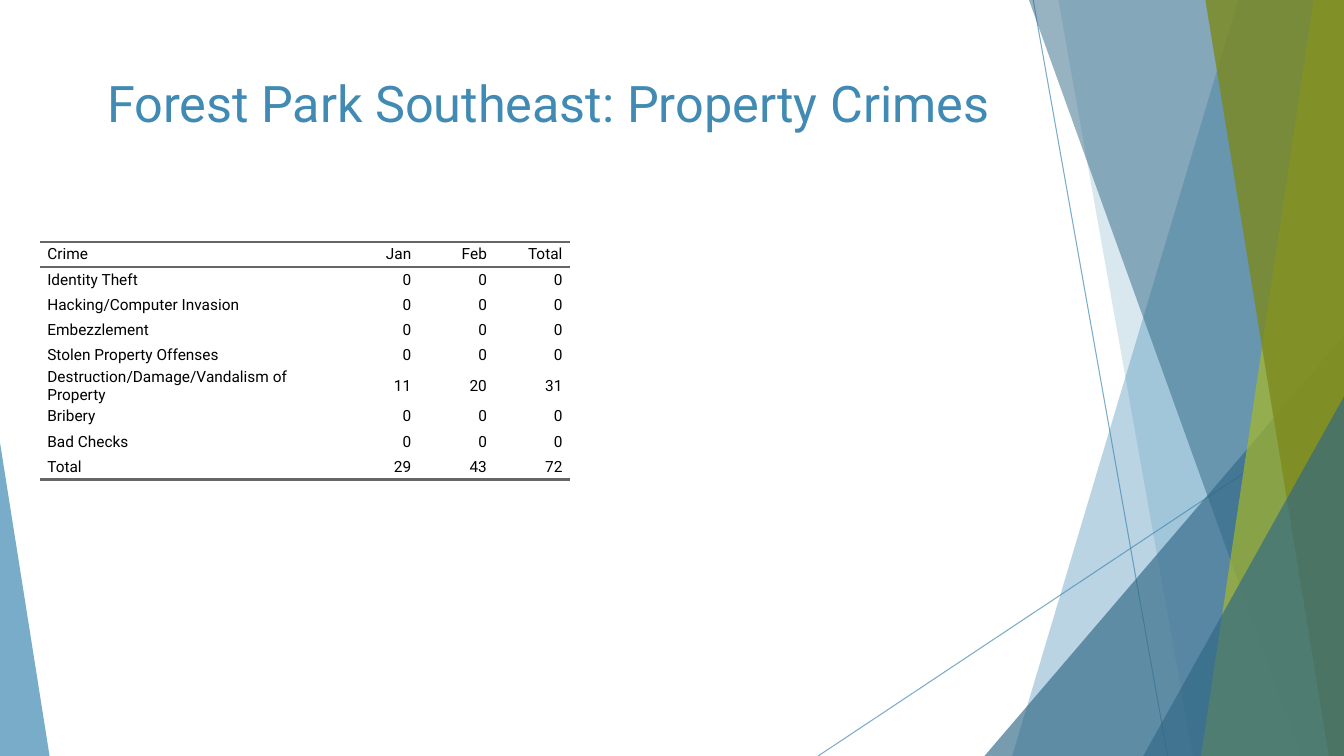
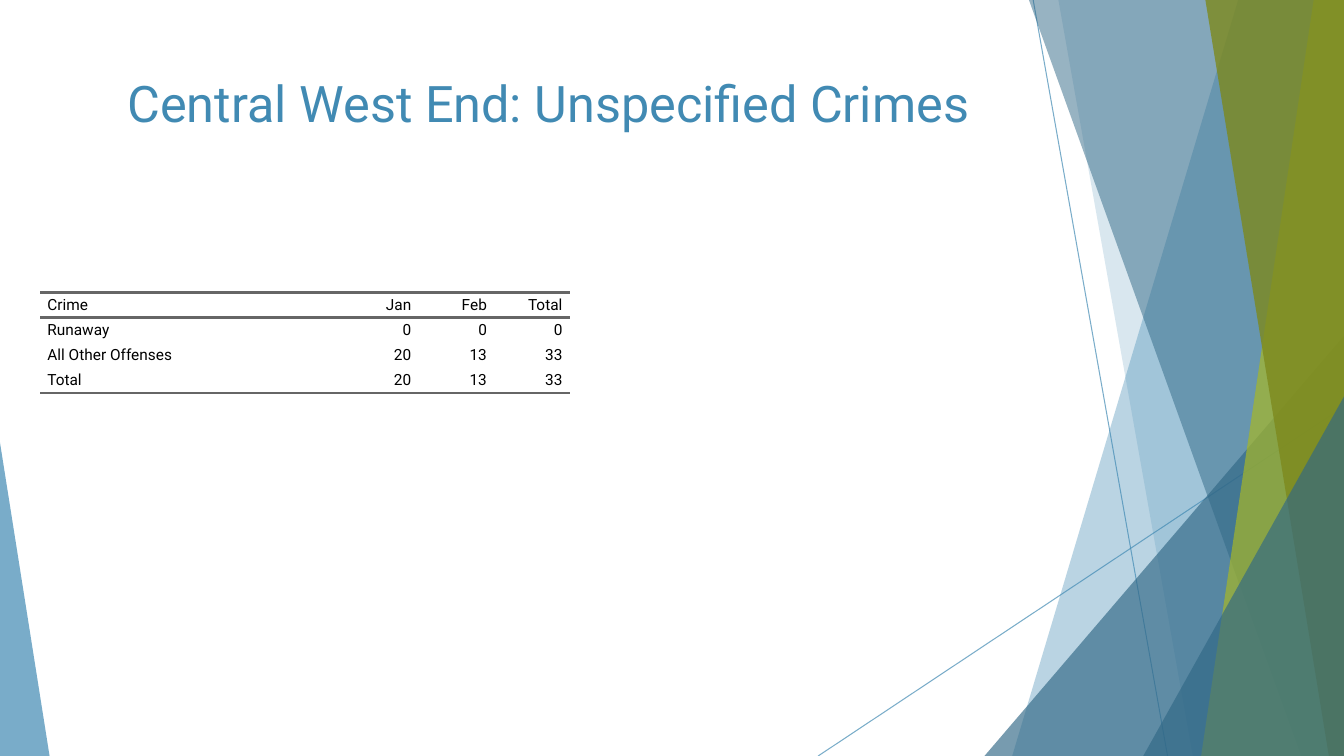
from lxml import etree
from pptx import Presentation
from pptx.dml.color import RGBColor
from pptx.enum.shapes import MSO_CONNECTOR, MSO_SHAPE
from pptx.enum.text import MSO_ANCHOR, MSO_AUTO_SIZE, PP_ALIGN
from pptx.oxml.ns import qn
from pptx.util import Pt

STRAIGHT = MSO_CONNECTOR.STRAIGHT
TRIANGLE = MSO_SHAPE.ISOSCELES_TRIANGLE
TOP, MIDDLE = MSO_ANCHOR.TOP, MSO_ANCHOR.MIDDLE
LEFT, CENTER, RIGHT = PP_ALIGN.LEFT, PP_ALIGN.CENTER, PP_ALIGN.RIGHT
NO_AUTOFIT = MSO_AUTO_SIZE.NONE

# The slide is a grid of square cells, each a twelfth of an inch
CELL = Pt(6)
COLUMNS, ROWS = 160, 90
TITLE_ONLY = 5
PLAIN_TABLE = "{2D5ABB26-0587-4C30-8999-92F81FD0307C}"
FONT = "Roboto"
COLORS = {
    "blue": "418AB3",
    "navy": "316886",
    "lime": "A6B727",
    "olive": "7D891D",
    "rule": "666666",
    "text": "000000",
}


def grid(*counts):
    return [round(count * CELL) for count in counts]


def rgb(name):
    return RGBColor.from_string(COLORS[name])


class Deck:
    """Holds the shared style and the current slide."""

    def __init__(self):
        self.presentation = Presentation()
        self.presentation.slide_width, self.presentation.slide_height = grid(COLUMNS, ROWS)
        self.layout = self.presentation.slide_layouts[TITLE_ONLY]
        self.slide = None

    def add_slide(self, title):
        self.slide = self.presentation.slides.add_slide(self.layout)
        if len(self.presentation.slides) == 1:
            self.decorate_layout()
        self.title(title)

    def decorate_layout(self):
        """Draw the facets once and hand them to the layout."""
        self.line((123, 0), (139, ROWS))
        self.line((COLUMNS, 48.4), (97.4, ROWS))
        self.band(147.4, 120.5, "blue", 36)
        self.band(126, 142, "blue", 20)
        self.triangle(117.2, 40, COLUMNS, 1, "navy", 66)
        self.band(122.5, 154.9, "navy", 50)
        self.band(156.4, 143, "lime", 70)
        self.band(143.5, 158.2, "olive", 80)
        self.triangle(136.1, 47.2, COLUMNS, 1, "navy", 66)
        self.triangle(0, 52.7, 5.9, 0, "blue", 70)
        for shape in list(self.slide.shapes):
            if not shape.is_placeholder:
                self.layout.shapes.element.append(shape.element)

    def set_opacity(self, shape, percent):
        for color in shape.element.spPr.iter(qn("a:srgbClr")):
            etree.SubElement(color, qn("a:alpha"), val=str(percent * 1000))

    def paint(self, shape, color, opacity):
        shape.shadow.inherit = False
        shape.fill.solid()
        shape.fill.fore_color.rgb = rgb(color)
        shape.line.fill.background()
        self.set_opacity(shape, opacity)

    def line(self, start, end):
        connector = self.slide.shapes.add_connector(STRAIGHT, *grid(*start, *end))
        connector.line.color.rgb = rgb("blue")
        connector.line.width = Pt(0.75)
        self.set_opacity(connector, 70)
        etree.SubElement(connector.element.spPr, qn("a:effectLst"))

    def band(self, top_left, bottom_left, color, opacity):
        """Fill from a slanted left edge to the right edge of the slide."""
        builder = self.slide.shapes.build_freeform(*grid(top_left, 0))
        corners = [(COLUMNS, 0), (COLUMNS, ROWS), (bottom_left, ROWS)]
        builder.add_line_segments([grid(*corner) for corner in corners])
        self.paint(builder.convert_to_shape(), color, opacity)

    def triangle(self, left, top, right, apex, color, opacity):
        box = grid(left, top, right - left, ROWS - top)
        shape = self.slide.shapes.add_shape(TRIANGLE, *box)
        shape.adjustments[0] = apex
        self.paint(shape, color, opacity)

    def format_text(self, paragraph, size, color, alignment):
        paragraph.alignment = alignment
        for run in paragraph.runs:
            run.font.name = FONT
            run.font.size = Pt(size)
            run.font.color.rgb = rgb(color)

    def title(self, text):
        shape = self.slide.shapes.title
        shape.left, shape.top, shape.width, shape.height = grid(8.9, 8, 112.8, 17.3)
        frame = shape.text_frame
        frame.text = text
        frame.word_wrap = True
        frame.auto_size = NO_AUTOFIT
        frame.vertical_anchor = TOP
        self.format_text(frame.paragraphs[0], 36, "blue", CENTER)

    def rule(self, cell, edge):
        properties = cell._tc.get_or_add_tcPr()
        border = etree.Element(qn(f"a:{edge}"), w=str(Pt(2)))
        fill = etree.SubElement(border, qn("a:solidFill"))
        etree.SubElement(fill, qn("a:srgbClr"), val=COLORS["rule"])
        properties.insert(0, border)

    def table(self, top, records):
        header = ("Crime", "Jan", "Feb", "Total")
        records = [header, *records]
        widths = grid(36, 9, 9, 9)
        left, top, row_height = grid(4.8, top, 3)
        frame = self.slide.shapes.add_table(
            len(records), len(header), left, top, sum(widths), row_height * len(records))
        for style in frame.element.iter(qn("a:tableStyleId")):
            style.text = PLAIN_TABLE
        table = frame.table
        table.first_row = table.horz_banding = False
        for column, width in zip(table.columns, widths):
            column.width = width
        for row_index, record in enumerate(records):
            for column_index, value in enumerate(record):
                cell = table.cell(row_index, column_index)
                cell.text_frame.text = str(value)
                cell.fill.background()
                cell.vertical_anchor = MIDDLE
                cell.margin_top = cell.margin_bottom = 0
                cell.margin_left = cell.margin_right = Pt(5)
                alignment = RIGHT if column_index else LEFT
                self.format_text(cell.text_frame.paragraphs[0], 11, "text", alignment)
                # Rules enclose the header and close the table
                if row_index in (0, len(records) - 1):
                    self.rule(cell, "lnB")
                if row_index == 0:
                    self.rule(cell, "lnT")


def main():
    deck = Deck()

    # Property crimes
    deck.add_slide("Forest Park Southeast: Property Crimes")
    deck.table(28.8, [
        ("Identity Theft", 0, 0, 0),
        ("Hacking/Computer Invasion", 0, 0, 0),
        ("Embezzlement", 0, 0, 0),
        ("Stolen Property Offenses", 0, 0, 0),
        ("Destruction/Damage/Vandalism of Property", 11, 20, 31),
        ("Bribery", 0, 0, 0),
        ("Bad Checks", 0, 0, 0),
        ("Total", 29, 43, 72),
    ])

    # Unspecified crimes
    deck.add_slide("Central West End: Unspecified Crimes")
    deck.table(34.8, [
        ("Runaway", 0, 0, 0),
        ("All Other Offenses", 20, 13, 33),
        ("Total", 20, 13, 33),
    ])

    deck.presentation.save("out.pptx")


if __name__ == "__main__":
    main()
